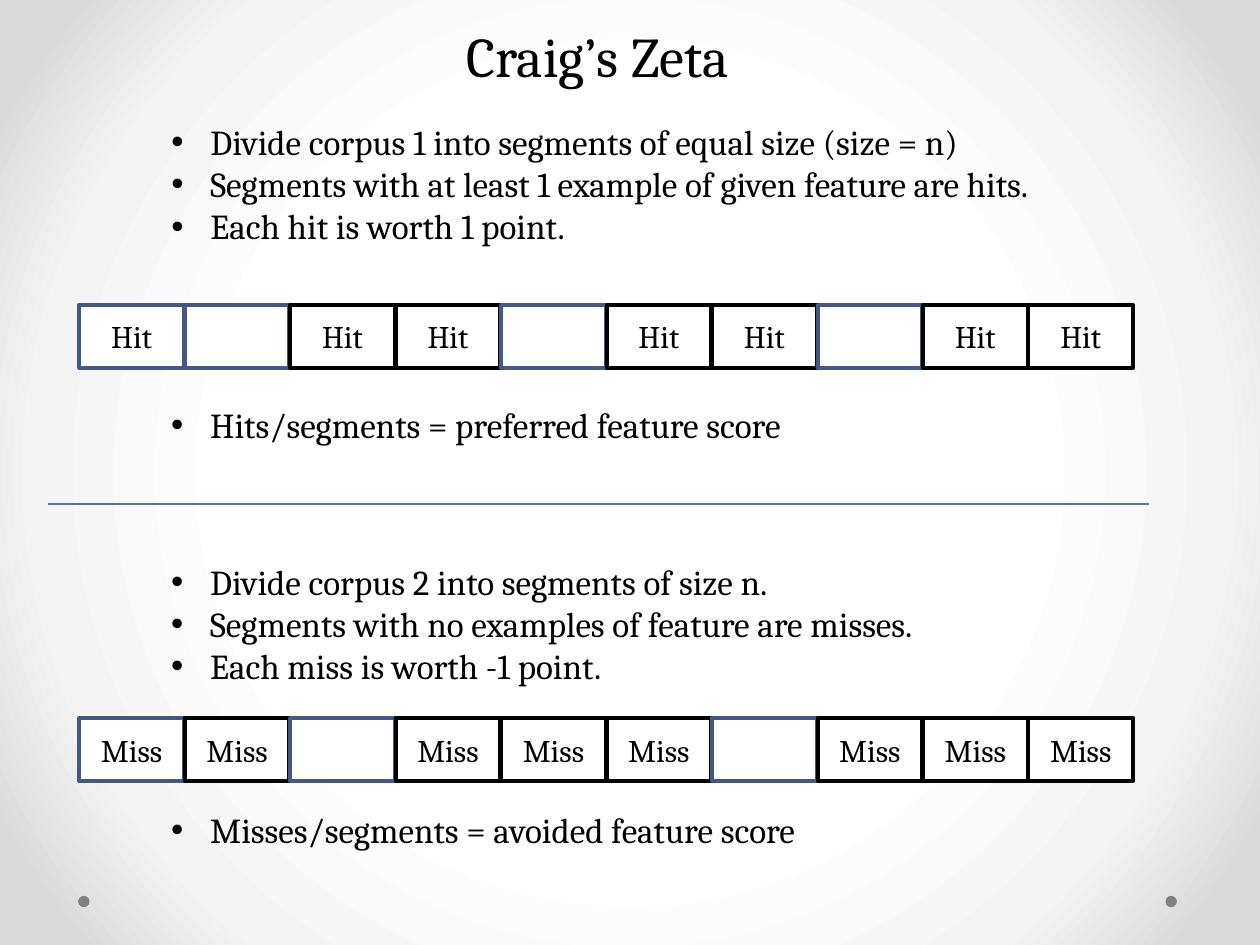
"""Build the Craig's Zeta slide with two scored segment rows."""
from dataclasses import dataclass

from pptx import Presentation, oxml, util as u
from pptx.dml.color import RGBColor
from pptx.enum import shapes, text
from pptx.oxml import ns

COLUMNS, ROWS = 100, 75


@dataclass(frozen=True)
class Theme:
    """Colours, type sizes and line widths."""
    font: str = "Cambria"
    ink: str = "000000"
    paper: str = "FFFFFF"
    outline: str = "475785"
    divider: str = "5C72B2"
    dot: str = "808080"
    title_size: int = 32
    body_size: int = 20
    label_size: int = 18
    box_line: float = 2.25
    divider_line: float = 1.5
    background: tuple = ((50, "FFFFFF"), (76, "F4F4F4"), (92, "DADADA"))


@dataclass(frozen=True)
class Area:
    """A rectangle in grid columns and rows."""
    left: float
    top: float
    width: float
    height: float


@dataclass(frozen=True)
class BulletList:
    """A bulleted list and its place."""
    area: Area
    lines: tuple


@dataclass(frozen=True)
class SegmentRow:
    """A row of equal segments with labels and blue outlines."""
    top: float
    label: str
    empty: tuple
    blue: tuple


THEME = Theme()
TITLE_AREA = Area(5.7, 1.2, 83.5, 6.4)
MAIN_LIST = BulletList(Area(12.6, 9.1, 71.4, 14.5), (
    "Divide corpus 1 into segments of equal size (size = n)",
    "Segments with at least 1 example of given feature are hits.",
    "Each hit is worth 1 point."))
OTHER_LISTS = (
    BulletList(Area(12.6, 31.5, 74.1, 4.4), ("Hits/segments = preferred feature score",)),
    BulletList(Area(12.6, 44, 71.4, 11.1), (
        "Divide corpus 2 into segments of size n.",
        "Segments with no examples of feature are misses.",
        "Each miss is worth -1 point.")),
    BulletList(Area(12.6, 63.7, 74.1, 4.4), ("Misses/segments = avoided feature score",)))
SEGMENT_ROWS = (
    SegmentRow(24.2, "Hit", (1, 4, 7), (0, 1, 4, 7)),
    SegmentRow(57, "Miss", (2, 6), (0, 2, 6)))
SEGMENT_COUNT, FIRST_SEGMENT, SEGMENT_PITCH = 10, 6.3, 8.37
DOTS = (Area(6.2, 71.1, 0.9, 0.9), Area(92.5, 71.1, 0.9, 0.9))


def apply(target, formats: dict) -> None:
    """Set every attribute in a dict of format values."""
    for name, value in formats.items():
        setattr(target, name, value)


def place(presentation, area: Area) -> dict:
    """Turn a grid area into slide lengths."""
    column = presentation.slide_width / COLUMNS
    row = presentation.slide_height / ROWS
    return {"left": round(area.left * column), "top": round(area.top * row),
            "width": round(area.width * column), "height": round(area.height * row)}


def write(paragraph, words: str, size: int, align) -> None:
    """Write one formatted paragraph."""
    run = paragraph.add_run()
    run.text = words
    apply(paragraph, {"alignment": align, "space_before": u.Pt(0), "space_after": u.Pt(0)})
    apply(run.font, {"name": THEME.font, "size": u.Pt(size), "bold": False})
    run.font.color.rgb = RGBColor.from_string(THEME.ink)


def write_list(shape, lines: tuple) -> None:
    """Fill a shape with bulleted lines."""
    frame = shape.text_frame
    apply(frame, {"word_wrap": True, "auto_size": text.MSO_AUTO_SIZE.NONE,
                  "vertical_anchor": text.MSO_ANCHOR.TOP})
    for index, line in enumerate(lines):
        paragraph = frame.add_paragraph() if index else frame.paragraphs[0]
        write(paragraph, line, THEME.body_size, text.PP_ALIGN.LEFT)
        properties = paragraph._p.get_or_add_pPr()
        properties.set("marL", str(u.Inches(0.31)))
        properties.set("indent", str(-u.Inches(0.31)))
        properties.append(oxml.parse_xml(
            f'<a:buFont {ns.nsdecls("a")} typeface="Arial"/>'))
        properties.append(oxml.parse_xml(f'<a:buChar {ns.nsdecls("a")} char="•"/>'))


def add_block(presentation, slide, kind, area: Area, fill: str, line: str = ""):
    """Add a filled shape, outlined when a line colour is given."""
    shape = slide.shapes.add_shape(kind, **place(presentation, area))
    shape.shadow.inherit = False
    shape.fill.solid()
    shape.fill.fore_color.rgb = RGBColor.from_string(fill)
    if line:
        shape.line.color.rgb = RGBColor.from_string(line)
        shape.line.width = u.Pt(THEME.box_line)
    else:
        shape.line.fill.background()
    return shape


def add_segments(presentation, slide, row: SegmentRow) -> None:
    """Draw one row of segments."""
    for index in range(SEGMENT_COUNT):
        area = Area(FIRST_SEGMENT + index * SEGMENT_PITCH, row.top, 8.3, 5)
        line = THEME.outline if index in row.blue else THEME.ink
        shape = add_block(presentation, slide, shapes.MSO_SHAPE.RECTANGLE,
                          area, THEME.paper, line)
        if index not in row.empty:
            shape.text_frame.vertical_anchor = text.MSO_ANCHOR.MIDDLE
            write(shape.text_frame.paragraphs[0], row.label,
                  THEME.label_size, text.PP_ALIGN.CENTER)


def add_divider(presentation, slide) -> None:
    """Draw the line between the two corpora."""
    span = place(presentation, Area(3.8, 40, 87.4, 0))
    line = slide.shapes.add_connector(
        shapes.MSO_CONNECTOR.STRAIGHT, span["left"], span["top"],
        span["left"] + span["width"], span["top"])
    line.line.color.rgb = RGBColor.from_string(THEME.divider)
    line.line.width = u.Pt(THEME.divider_line)
    line._element.spPr.append(oxml.parse_xml(f'<a:effectLst {ns.nsdecls("a")}/>'))


def paint_background(slide) -> None:
    """Give the slide a circular gradient."""
    stops = "".join(f'<a:gs pos="{share * 1000}"><a:srgbClr val="{colour}"/></a:gs>'
                    for share, colour in THEME.background)
    slide._element.cSld.insert(0, oxml.parse_xml(
        f'<p:bg {ns.nsdecls("p", "a")}><p:bgPr><a:gradFill rotWithShape="1">'
        f'<a:gsLst>{stops}</a:gsLst><a:path path="circle">'
        '<a:fillToRect l="50000" t="50000" r="50000" b="50000"/></a:path>'
        '</a:gradFill><a:effectLst/></p:bgPr></p:bg>'))


def main() -> None:
    """Build and save the slide."""
    presentation = Presentation()
    apply(presentation, {"slide_width": u.Inches(10), "slide_height": u.Inches(7.5)})
    slide = presentation.slides.add_slide(presentation.slide_layouts[1])
    paint_background(slide)
    title, body = slide.shapes.title, slide.placeholders[1]
    apply(title, place(presentation, TITLE_AREA))
    apply(title.text_frame, {"word_wrap": True, "auto_size": text.MSO_AUTO_SIZE.NONE,
                             "vertical_anchor": text.MSO_ANCHOR.TOP})
    write(title.text_frame.paragraphs[0], "Craig’s Zeta",
          THEME.title_size, text.PP_ALIGN.CENTER)
    apply(body, place(presentation, MAIN_LIST.area))
    write_list(body, MAIN_LIST.lines)
    for dot in DOTS:
        add_block(presentation, slide, shapes.MSO_SHAPE.OVAL, dot, THEME.dot)
    for row in SEGMENT_ROWS:
        add_segments(presentation, slide, row)
    for bullets in OTHER_LISTS:
        box = slide.shapes.add_textbox(**place(presentation, bullets.area))
        write_list(box, bullets.lines)
    add_divider(presentation, slide)
    presentation.save("out.pptx")


if __name__ == "__main__":
    main()
